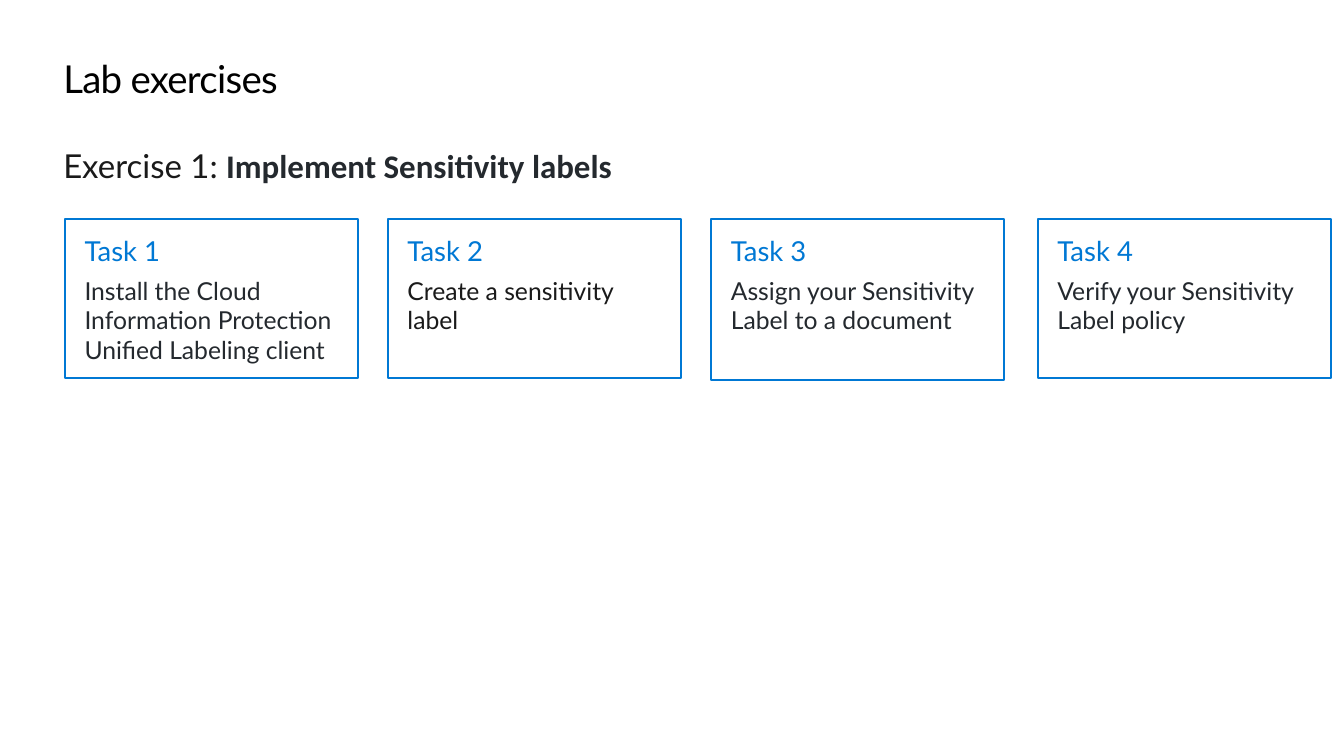
from pptx import Presentation
from pptx.dml.color import RGBColor
from pptx.enum.shapes import MSO_SHAPE
from pptx.enum.text import MSO_ANCHOR, MSO_AUTO_SIZE, PP_ALIGN
from pptx.util import Pt

RECT = MSO_SHAPE.RECTANGLE
TOP, MIDDLE = MSO_ANCHOR.TOP, MSO_ANCHOR.MIDDLE
LEFT = PP_ALIGN.LEFT
GROW, FIXED = MSO_AUTO_SIZE.SHAPE_TO_FIT_TEXT, MSO_AUTO_SIZE.NONE

COLORS = {"title": "000000", "text": "1A1A1A", "slate": "24292E", "blue": "0078D4"}

TITLE = "Lab exercises"
EXERCISE = [("Exercise 1: ", "Lato", "text", False),
            ("Implement Sensitivity labels", "Calibri", "slate", True)]
TASKS = [
    ("Task 1", "Install the Cloud Information Protection Unified Labeling client", "slate", 47.2, 115.5),
    ("Task 2", "Create a sensitivity label", "text", 282.5, 115.5),
    ("Task 3", "Assign your Sensitivity Label to a document", "slate", 518.1, 117.4),
    ("Task 4", "Verify your Sensitivity Label policy", "slate", 756, 115.5),
]
TASK_TOP, TASK_WIDTH = 159.8, 213.8


def rgb(name):
    return RGBColor.from_string(COLORS[name])


def set_frame(tf, anchor, auto_size, side=0, top=0):
    values = {"margin_left": Pt(side), "margin_right": Pt(side),
              "margin_top": Pt(top), "margin_bottom": Pt(top),
              "word_wrap": True, "auto_size": auto_size, "vertical_anchor": anchor}
    for name, value in values.items():
        setattr(tf, name, value)


def add_run(p, text, size, color, font="Lato", bold=False):
    p.alignment = LEFT
    r = p.add_run()
    r.text = text
    for name, value in {"size": Pt(size), "name": font, "bold": bold}.items():
        setattr(r.font, name, value)
    r.font.color.rgb = rgb(color)
    return r


def add_task(s, heading, text, color, left, height):
    sp = s.shapes.add_shape(RECT, Pt(left), Pt(TASK_TOP), Pt(TASK_WIDTH), Pt(height))
    sp.shadow.inherit = False
    sp.fill.background()
    sp.line.color.rgb = rgb("blue")
    sp.line.width = Pt(1.5)
    tf = sp.text_frame
    set_frame(tf, TOP, FIXED, 14.4, 10.8)
    p = tf.paragraphs[0]
    p.space_after = Pt(6)
    add_run(p, heading, 20, "blue")
    add_run(tf.add_paragraph(), text, 18, color)


def main():
    prs = Presentation()
    prs.slide_width, prs.slide_height = Pt(979.2), Pt(550.8)
    s = prs.slides.add_slide(prs.slide_layouts[5])

    title = s.shapes.title
    title.left, title.top, title.width, title.height = Pt(46.1), Pt(40), Pt(884.9), Pt(34.6)
    set_frame(title.text_frame, TOP, GROW)
    r = add_run(title.text_frame.paragraphs[0], TITLE, 28, "title")
    r.font._element.set("spc", "-50")

    exercise = s.shapes.add_textbox(Pt(46.1), Pt(105.8), Pt(733.7), Pt(28.8))
    set_frame(exercise.text_frame, MIDDLE, GROW)
    for text, font, color, bold in EXERCISE:
        add_run(exercise.text_frame.paragraphs[0], text, 24, color, font, bold)

    for task in TASKS:
        add_task(s, *task)

    prs.save("out.pptx")


if __name__ == "__main__":
    main()
